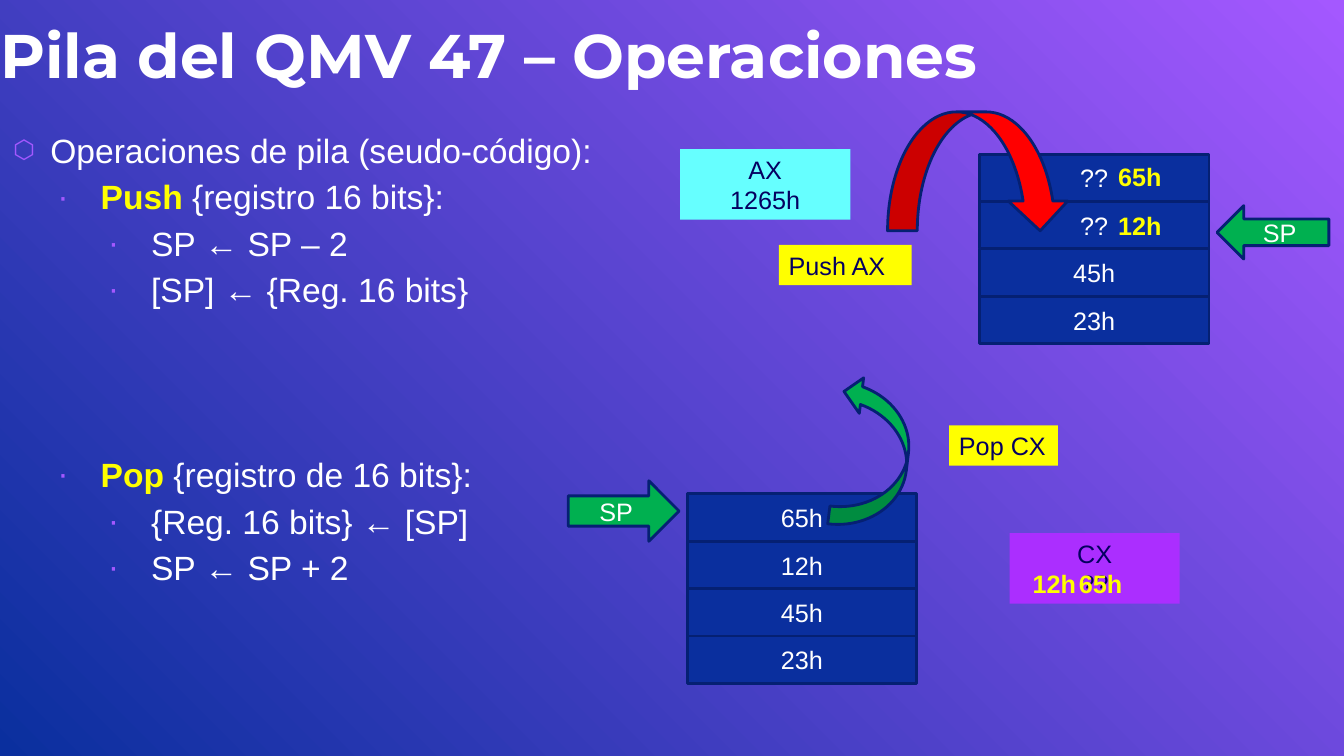
from lxml.etree import SubElement
from pptx import Presentation
from pptx.dml.color import RGBColor
from pptx.enum.shapes import MSO_SHAPE as SHAPE
from pptx.enum.text import MSO_ANCHOR as ANCHOR, MSO_AUTO_SIZE as AUTO_SIZE, PP_ALIGN as ALIGN
from pptx.oxml.ns import qn
from pptx.util import Inches, Pt

WHITE = RGBColor(0xFF, 0xFF, 0xFF)
YELLOW = RGBColor(0xFF, 0xFF, 0x00)
RED = RGBColor(0xFF, 0x00, 0x00)
GREEN = RGBColor(0x00, 0xB0, 0x50)
CYAN = RGBColor(0x66, 0xFF, 0xFF)
PURPLE = RGBColor(0xAB, 0x2E, 0xFF)
VIOLET = RGBColor(0xA4, 0x58, 0xFF)
BLUE = RGBColor(0x0A, 0x2F, 0x9E)
NAVY = RGBColor(0x05, 0x20, 0x73)
INK = RGBColor(0x05, 0x00, 0x60)

CELL_W, CELL_H = 2.28, 0.47


class SlideBuilder:
    font = "Arial"
    size = 18

    def __init__(self, prs):
        self.slide = prs.slides.add_slide(prs.slide_layouts[5])
        self.shapes = self.slide.shapes

    def background(self, start, end):
        fill = self.slide.background.fill
        fill.gradient()
        fill.gradient_angle = 225
        for stop, color in zip(fill.gradient_stops, (start, end)):
            stop.color.rgb = color

    def run(self, p, text, color, size=None, bold=False, font=None):
        r = p.add_run()
        r.text = text
        r.font.name = font or self.font
        r.font.size = Pt(size or self.size)
        r.font.bold = bold
        r.font.color.rgb = color

    def no_margins(self, tf):
        tf.margin_left = tf.margin_right = tf.margin_top = tf.margin_bottom = 0
        tf.word_wrap = True

    def title(self, text, x, y, w, h):
        sp = self.shapes.title
        sp.left, sp.top, sp.width, sp.height = map(Inches, (x, y, w, h))
        tf = sp.text_frame
        self.no_margins(tf)
        tf.vertical_anchor = ANCHOR.BOTTOM
        p = tf.paragraphs[0]
        p.alignment = ALIGN.LEFT
        self.run(p, text, WHITE, 44, True, "Montserrat")

    def bullet(self, p, char, indent, hanging, percent):
        pPr = p._p.get_or_add_pPr()
        pPr.set("marL", str(Inches(indent)))
        pPr.set("indent", str(-Inches(hanging)))
        color = SubElement(pPr, qn("a:buClr"))
        SubElement(color, qn("a:srgbClr"), val=str(VIOLET))
        SubElement(pPr, qn("a:buSzPct"), val=str(percent * 1000))
        SubElement(pPr, qn("a:buFont"), typeface=self.font)
        SubElement(pPr, qn("a:buChar"), char=char)

    def outline(self, items, x, y, w, h):
        tf = self.shapes.add_textbox(*map(Inches, (x, y, w, h))).text_frame
        self.no_margins(tf)
        for i, (level, before, keyword, text) in enumerate(items):
            p = tf.add_paragraph() if i else tf.paragraphs[0]
            p.level = level
            p.line_spacing = 1.15
            p.space_before = Pt(before)
            if level:
                self.bullet(p, "∙", 0.5 + 0.5 * level, 0.42, 100)
            else:
                self.bullet(p, "⬡", 0.5, 0.37, 75)
            if keyword:
                self.run(p, keyword, YELLOW, 24, True)
            self.run(p, text, WHITE, 24)

    def shape(self, kind, x, y, w, h, fill, lines=(), color=WHITE,
              border=NAVY, align=ALIGN.CENTER, anchor=ANCHOR.MIDDLE, rotation=0):
        sp = self.shapes.add_shape(kind, *map(Inches, (x, y, w, h)))
        sp.shadow.inherit = False
        sp.rotation = rotation
        sp.fill.solid()
        sp.fill.fore_color.rgb = fill
        if border is None:
            sp.line.fill.background()
        else:
            sp.line.color.rgb = border
            sp.line.width = Pt(2)
        tf = sp.text_frame
        tf.word_wrap = True
        tf.vertical_anchor = anchor
        for i, text in enumerate(lines):
            p = tf.add_paragraph() if i else tf.paragraphs[0]
            p.alignment = align
            self.run(p, text, color)

    def stack(self, x, y, values):
        for i, value in enumerate(values):
            self.shape(SHAPE.RECTANGLE, x, y + i * CELL_H, CELL_W, CELL_H, BLUE, [value])

    def label(self, x, y, w, h, fill, lines, align=ALIGN.CENTER):
        self.shape(SHAPE.RECTANGLE, x, y, w, h, fill, lines, INK, None, align, ANCHOR.TOP)

    def new_value(self, x, y, text):
        tf = self.shapes.add_textbox(*map(Inches, (x, y, 0.71, 0.4))).text_frame
        tf.word_wrap = True
        tf.auto_size = AUTO_SIZE.SHAPE_TO_FIT_TEXT
        self.run(tf.paragraphs[0], text, YELLOW, bold=True)


def main():
    prs = Presentation()
    prs.slide_width, prs.slide_height = Inches(13.34), Inches(7.5)
    s = SlideBuilder(prs)
    s.background(VIOLET, BLUE)
    s.title("Pila del QMV 47 – Operaciones", 0, -0.35, 12, 1.25)
    s.outline([
        (0, 6, "", "Operaciones de pila (seudo-código):"),
        (1, 0, "Push", " {registro 16 bits}:"),
        (2, 0, "", "SP ← SP – 2"),
        (2, 0, "", "[SP] ← {Reg. 16 bits}"),
        (1, 99, "Pop", " {registro de 16 bits}:"),
        (2, 0, "", "{Reg. 16 bits} ← [SP]"),
        (2, 0, "", "SP ← SP + 2"),
    ], 0, 1.23, 12, 5.55)

    s.stack(9.72, 1.53, ["??", "??", "45h", "23h"])
    s.stack(6.82, 4.9, ["65h", "12h", "45h", "23h"])
    s.shape(SHAPE.CURVED_DOWN_ARROW, 8.81, 1.11, 1.81, 1.18, RED)
    s.shape(SHAPE.CURVED_UP_ARROW, 7.91, 4.14, 1.5, 0.71, GREEN, rotation=277)

    s.label(7.73, 2.43, 1.32, 0.4, YELLOW, ["Push AX"], ALIGN.LEFT)
    s.label(9.42, 4.22, 1.08, 0.4, YELLOW, ["Pop CX"], ALIGN.LEFT)
    s.label(6.75, 1.48, 1.69, 0.7, CYAN, ["AX", "1265h"])
    s.label(10.02, 5.29, 1.69, 0.7, PURPLE, ["CX", "??"])

    for x, y, text in [(11, 2.04, "12h"), (11, 1.55, "65h"),
                       (10.15, 5.59, "12h"), (10.61, 5.59, "65h")]:
        s.new_value(x, y, text)

    s.shape(SHAPE.LEFT_ARROW, 12.08, 2.04, 1.11, 0.53, GREEN, ["SP"])
    s.shape(SHAPE.RIGHT_ARROW, 5.64, 4.77, 1.1, 0.6, GREEN, ["SP"])
    prs.save("out.pptx")


if __name__ == "__main__":
    main()
